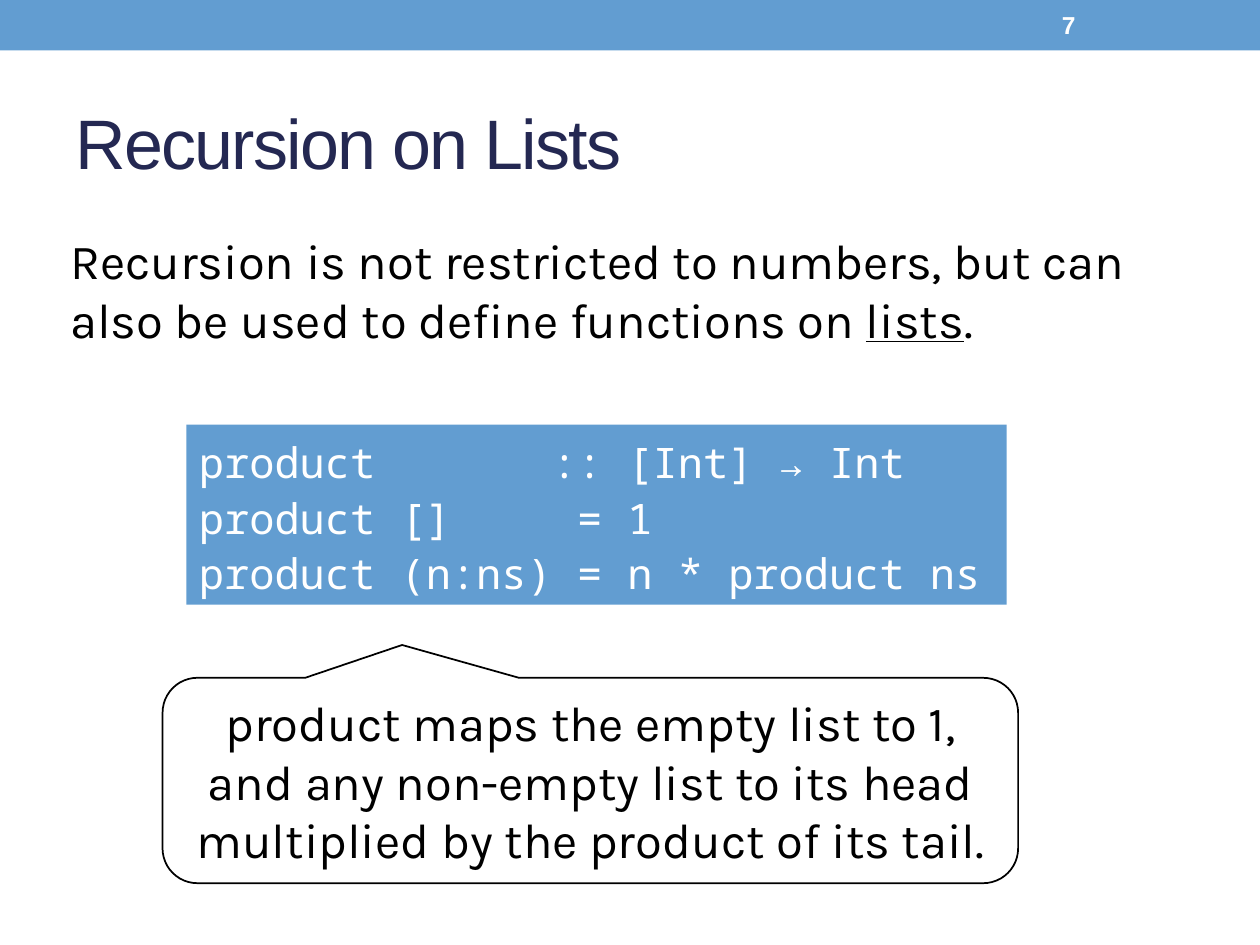
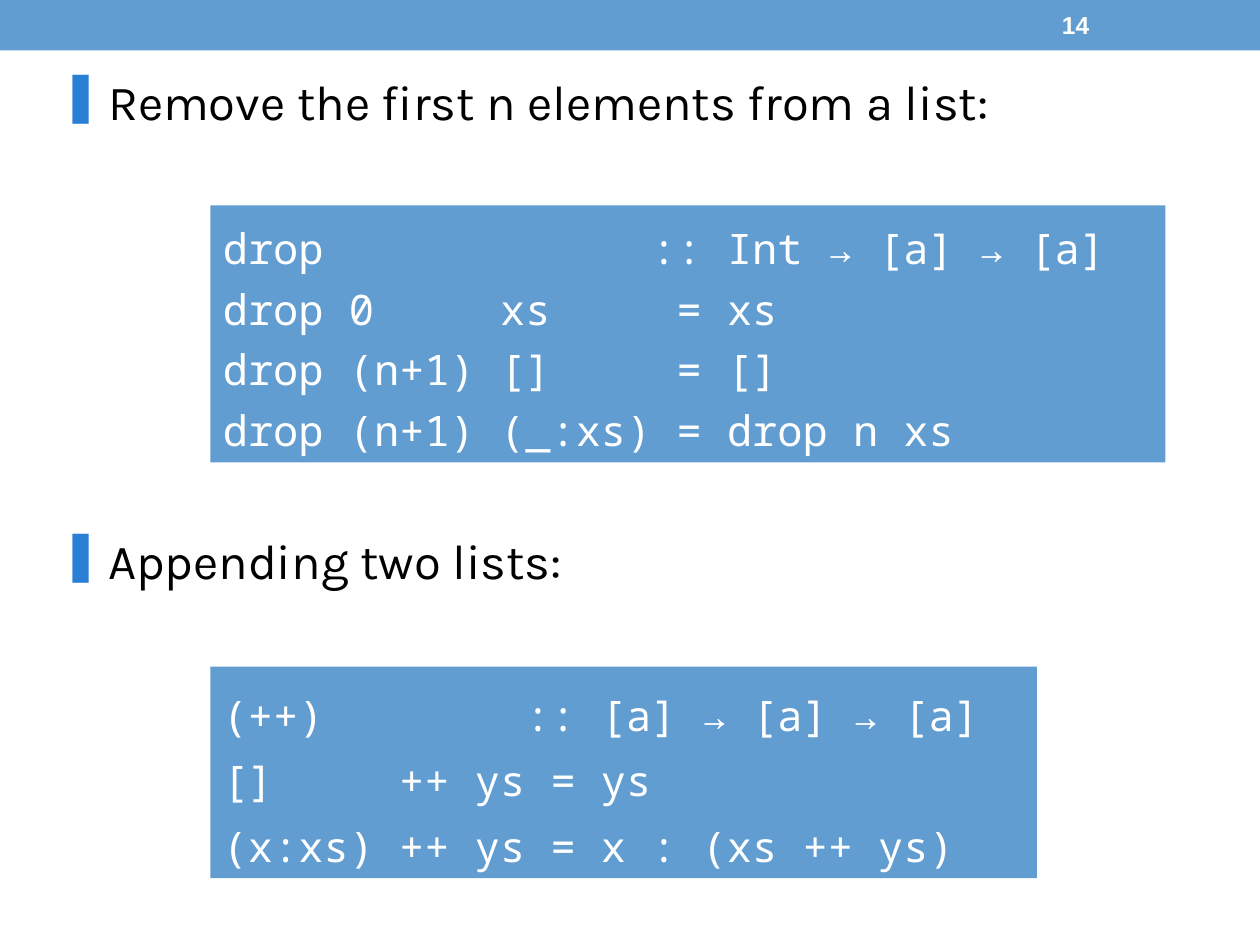
from lxml import etree
from pptx import Presentation, util as u
from pptx.dml.color import RGBColor
from pptx.enum import shapes, text
from pptx.oxml.ns import qn

# Shared style
BLUE = RGBColor(0x62, 0x9D, 0xD1)
BULLET_BLUE = RGBColor(0x29, 0x7F, 0xD5)
NAVY = RGBColor(0x24, 0x28, 0x52)
BLACK = RGBColor(0, 0, 0)
WHITE = RGBColor(0xFF, 0xFF, 0xFF)
HEAD_FONT, BODY_FONT, CODE_FONT = "Arial", "Karla", "Noto Sans Mono"
TITLE_ONLY, BLANK = 5, 6
LEFT, CENTER = text.PP_ALIGN.LEFT, text.PP_ALIGN.CENTER
TOP, MIDDLE = text.MSO_ANCHOR.TOP, text.MSO_ANCHOR.MIDDLE
NO_FIT, GROW = text.MSO_AUTO_SIZE.NONE, text.MSO_AUTO_SIZE.SHAPE_TO_FIT_TEXT


def px(*lengths):
    """Turn px (100 to the inch) into EMU."""
    return [u.Emu(n * 9144) for n in lengths]


def write(sp, lines, font=BODY_FONT, size=28, color=BLACK, bold=None, align=LEFT,
          anchor=MIDDLE, wrap=True, fit=NO_FIT, spacing=None):
    """Fill a shape; a line is a string or a list of (string, underlined)."""
    tf = sp.text_frame
    tf.word_wrap, tf.auto_size, tf.vertical_anchor = wrap, fit, anchor
    for i, line in enumerate(lines):
        p = tf.add_paragraph() if i else tf.paragraphs[0]
        p.alignment = align
        if spacing:
            p.line_spacing = spacing
        for part, underlined in [(line, None)] if isinstance(line, str) else line:
            r = p.add_run()
            r.text = part
            f = r.font
            f.name, f.size, f.bold, f.underline = font, u.Pt(size), bold, underlined
            f.color.rgb = color
    return tf


def add_shape(s, kind, box, fill=None, line=None):
    sp = s.shapes.add_shape(kind, *px(*box))
    sp.shadow.inherit = False
    if fill is None:
        sp.fill.background()
    else:
        sp.fill.solid()
        sp.fill.fore_color.rgb = fill
    if line is None:
        sp.line.fill.background()
    else:
        sp.line.color.rgb, sp.line.width = line, u.Pt(1)
    return sp


def add_text(s, box, lines, **fmt):
    return write(s.shapes.add_textbox(*px(*box)), lines, **fmt)


def add_slide(prs, layout, number):
    """New slide with the top band and its number."""
    s = prs.slides.add_slide(prs.slide_layouts[layout])
    for ph in list(s.placeholders):
        if ph != s.shapes.title:
            ph.element.getparent().remove(ph.element)
    add_shape(s, shapes.MSO_SHAPE.RECTANGLE, (0, 0, 1000, 40), fill=BLUE)
    add_text(s, (833, 2, 117, 36), [str(number)], font=HEAD_FONT, size=14,
             color=WHITE, bold=True)
    return s


def set_title(s, title):
    sp = s.shapes.title
    sp.left, sp.top, sp.width, sp.height = px(50, 58, 900, 108)
    tf = write(sp, [title], font=HEAD_FONT, size=40, color=NAVY)
    tf.paragraphs[0].runs[0].font._element.set("spc", "-100")


def add_code(s, box, lines, spacing):
    sp = add_shape(s, shapes.MSO_SHAPE.RECTANGLE, box, fill=BLUE)
    write(sp, lines, font=CODE_FONT, size=24, color=WHITE, wrap=False, fit=GROW,
          spacing=spacing)


def add_callout(s, box, adjustments, line):
    sp = add_shape(s, shapes.MSO_SHAPE.ROUNDED_RECTANGULAR_CALLOUT, box, line=BLACK)
    for i, value in enumerate(adjustments):
        sp.adjustments[i] = value
    write(sp, [line], align=CENTER, fit=GROW)


def add_bullet(s, box, line):
    p = add_text(s, box, [line], anchor=TOP).paragraphs[0]
    p.space_before = u.Pt(5.6)
    pPr = p._p.get_or_add_pPr()
    indent = px(38)[0]
    pPr.set("marL", str(indent))
    pPr.set("indent", str(-indent))
    color = etree.SubElement(pPr, qn("a:buClr"))
    etree.SubElement(color, qn("a:srgbClr"), val=str(BULLET_BLUE))
    etree.SubElement(pPr, qn("a:buChar"), char="❚")


def recursion_slide(prs):
    s = add_slide(prs, TITLE_ONLY, 7)
    set_title(s, "Recursion on Lists")
    intro = [("Recursion is not restricted to numbers, but can also be used "
              "to define functions on ", None), ("lists", True), (".", None)]
    add_text(s, (46, 178, 907, 103), [intro], fit=GROW)
    add_code(s, (148, 337, 651, 143), [
        "product       :: [Int] → Int",
        "product []     = 1",
        "product (n:ns) = n * product ns"], spacing=1.1)
    add_callout(s, (129, 538, 679, 163), (-0.22, -0.66, 0.17),
                "product maps the empty list to 1, and any non-empty list to its "
                "head multiplied by the product of its tail.")


def drop_append_slide(prs):
    s = add_slide(prs, BLANK, 14)
    # Drop
    add_bullet(s, (38, 52, 902, 61), "Remove the first n elements from a list:")
    add_code(s, (167, 163, 758, 204), [
        "drop             :: Int → [a] → [a]",
        "drop 0     xs     = xs",
        "drop (n+1) []     = []",
        "drop (n+1) (_:xs) = drop n xs"], spacing=1.2)
    # Append
    add_bullet(s, (38, 416, 874, 61), "Appending two lists:")
    add_code(s, (167, 529, 656, 168), [
        "(++)        :: [a] → [a] → [a]",
        "[]     ++ ys = ys",
        "(x:xs) ++ ys = x : (xs ++ ys)"], spacing=1.3)


def main():
    prs = Presentation()
    prs.slide_width, prs.slide_height = px(1000, 750)
    recursion_slide(prs)
    drop_append_slide(prs)
    prs.save("out.pptx")


if __name__ == "__main__":
    main()
